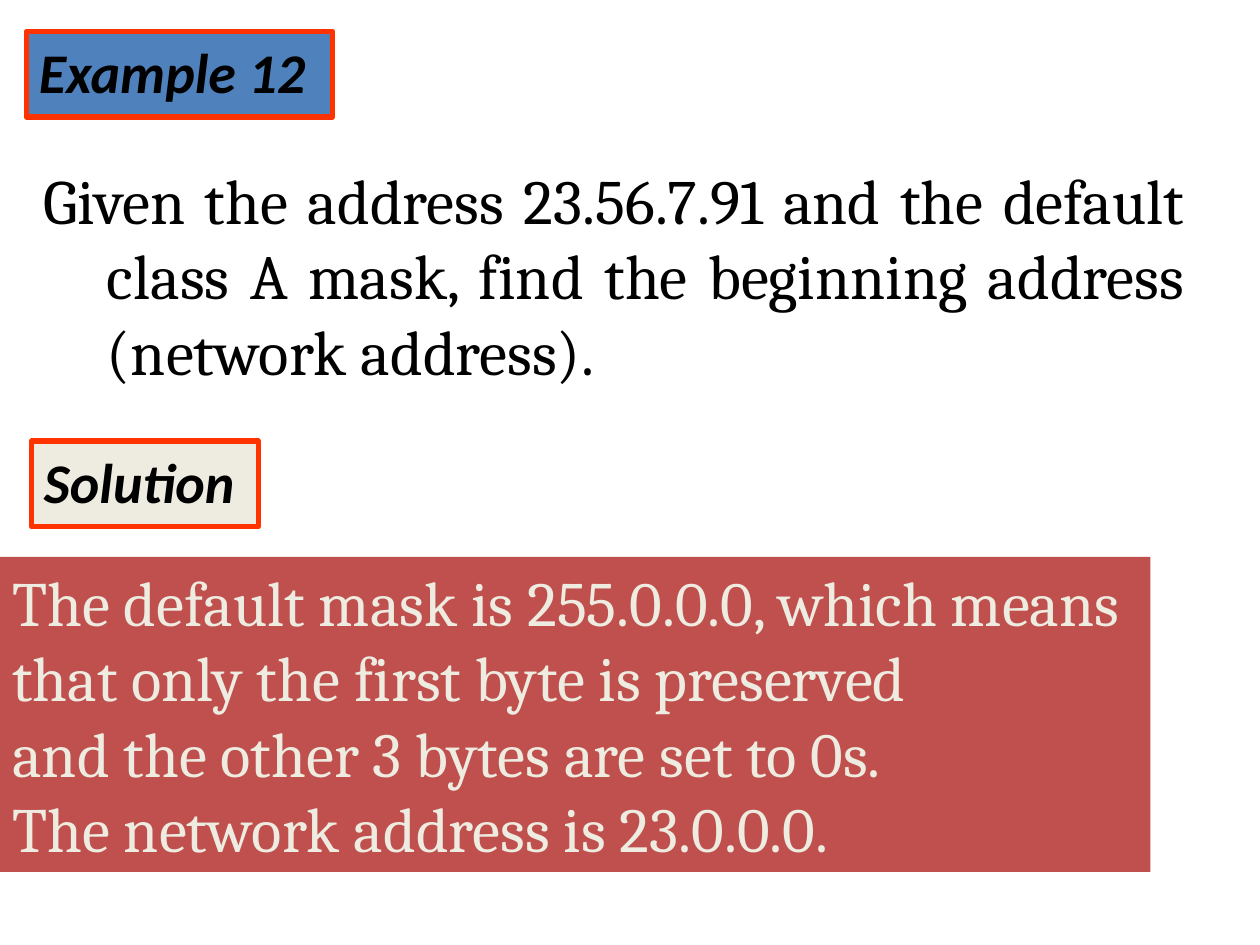
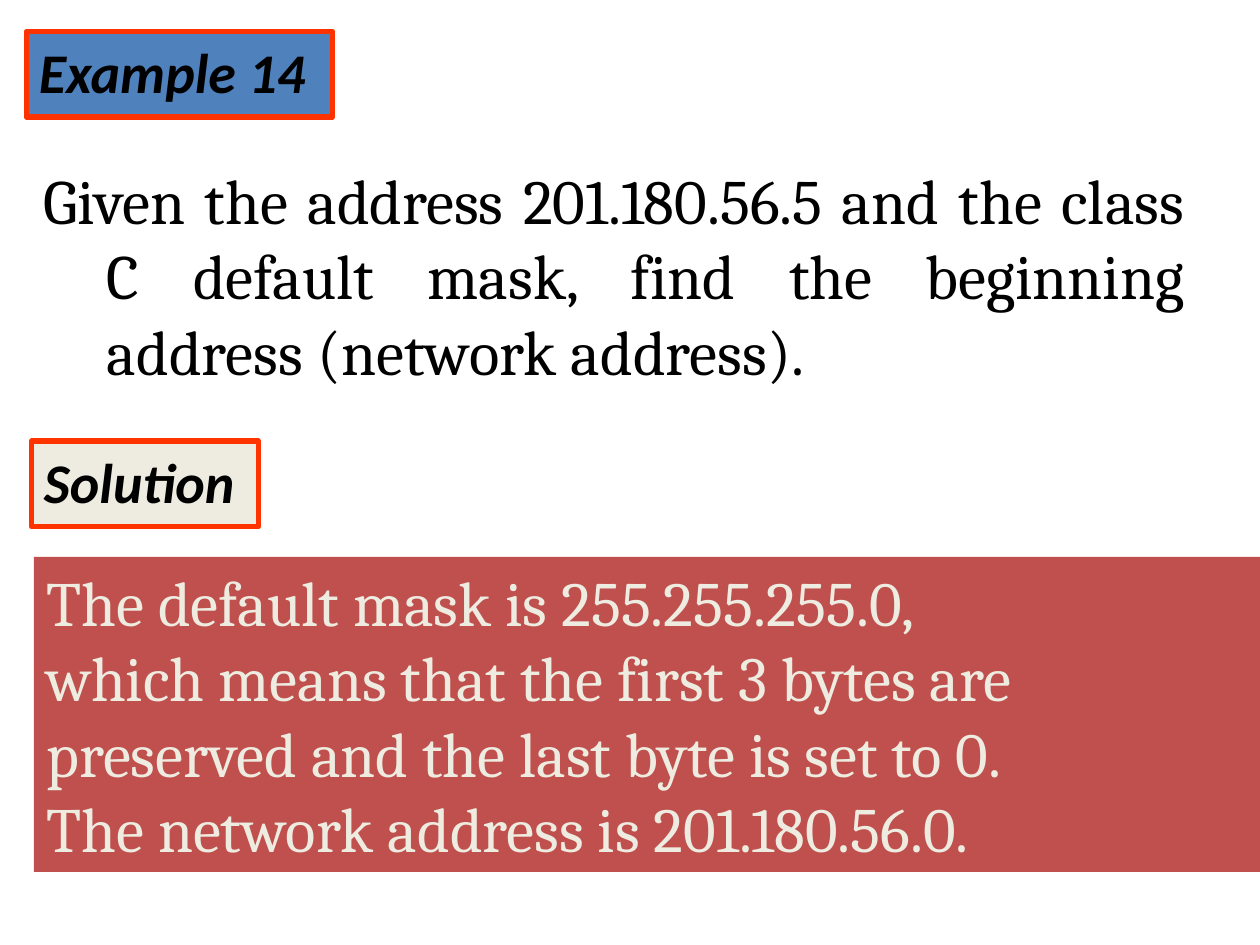
import pptx
import pptx.util
import pptx.dml.color
import pptx.enum.shapes
import pptx.enum.text

Inches = pptx.util.Inches
Pt = pptx.util.Pt
ALIGN = pptx.enum.text.PP_ALIGN

COLORS = {
    "text": "000000",
    "example": "4F81BD",
    "cream": "EEECE1",
    "border": "FF3300",
    "answer": "C0504D",
}

# Number, question, answer left edge and width, answer lines
EXAMPLES = [
    ("12",
     "Given the address 23.56.7.91 and the default class A mask, "
     "find the beginning address (network address).",
     0, 9.13,
     ["The default mask is 255.0.0.0, which means",
      "that only the first byte is preserved",
      "and the other 3 bytes are set to 0s.",
      "The network address is 23.0.0.0."]),
    ("14",
     "Given the address 201.180.56.5 and the class C default mask, "
     "find the beginning address (network address).",
     0.27, 9.73,
     ["The default mask is 255.255.255.0,",
      "which means that the first 3 bytes are",
      "preserved and the last byte is set to 0.",
      "The network address is 201.180.56.0."]),
]


def rgb(name):
    return pptx.dml.color.RGBColor.from_string(COLORS[name])


def add_block(slide, left, top, width, height, fill):
    block = slide.shapes.add_shape(
        pptx.enum.shapes.MSO_SHAPE.RECTANGLE,
        Inches(left), Inches(top), Inches(width), Inches(height))
    block.shadow.inherit = False
    block.fill.solid()
    block.fill.fore_color.rgb = rgb(fill)
    block.line.fill.background()
    return block


def write(box, lines, font_name, size, color, align=ALIGN.LEFT, emphasis=False):
    frame = box.text_frame
    frame.word_wrap = True
    frame.auto_size = pptx.enum.text.MSO_AUTO_SIZE.SHAPE_TO_FIT_TEXT
    frame.vertical_anchor = pptx.enum.text.MSO_ANCHOR.TOP
    for index, line in enumerate(lines):
        paragraph = frame.add_paragraph() if index else frame.paragraphs[0]
        paragraph.alignment = align
        run = paragraph.add_run()
        run.text = line
        run.font.name = font_name
        run.font.size = Pt(size)
        run.font.color.rgb = rgb(color)
        run.font.bold = run.font.italic = emphasis


def add_label(slide, text, left, top, width, fill):
    label = add_block(slide, left, top, width, 0.68, fill)
    label.line.color.rgb = rgb("border")
    label.line.width = Pt(3)
    write(label, [text], "Calibri", 32, "text", emphasis=True)


def add_question(slide, text):
    question = slide.shapes.add_textbox(
        Inches(0.25), Inches(1.23), Inches(9.25), Inches(1.9))
    write(question, [text], "Cambria", 36, "text", ALIGN.JUSTIFY)
    # Hanging indent
    properties = question.text_frame.paragraphs[0]._p.get_or_add_pPr()
    properties.set("marL", str(Inches(0.5)))
    properties.set("indent", str(Inches(-0.5)))


def add_answer(slide, lines, left, width):
    answer = add_block(slide, left, 4.42, width, 2.5, "answer")
    write(answer, lines, "Cambria", 36, "cream")


def main():
    deck = pptx.Presentation()
    deck.slide_width, deck.slide_height = Inches(10), Inches(7.5)
    blank = deck.slide_layouts[6]
    for number, question, answer_left, answer_width, answer_lines in EXAMPLES:
        slide = deck.slides.add_slide(blank)
        add_label(slide, f"Example {number}", 0.21, 0.25, 2.43, "example")
        add_question(slide, question)
        add_label(slide, "Solution", 0.25, 3.5, 1.8, "cream")
        add_answer(slide, answer_lines, answer_left, answer_width)
    deck.save("out.pptx")


if __name__ == "__main__":
    main()
